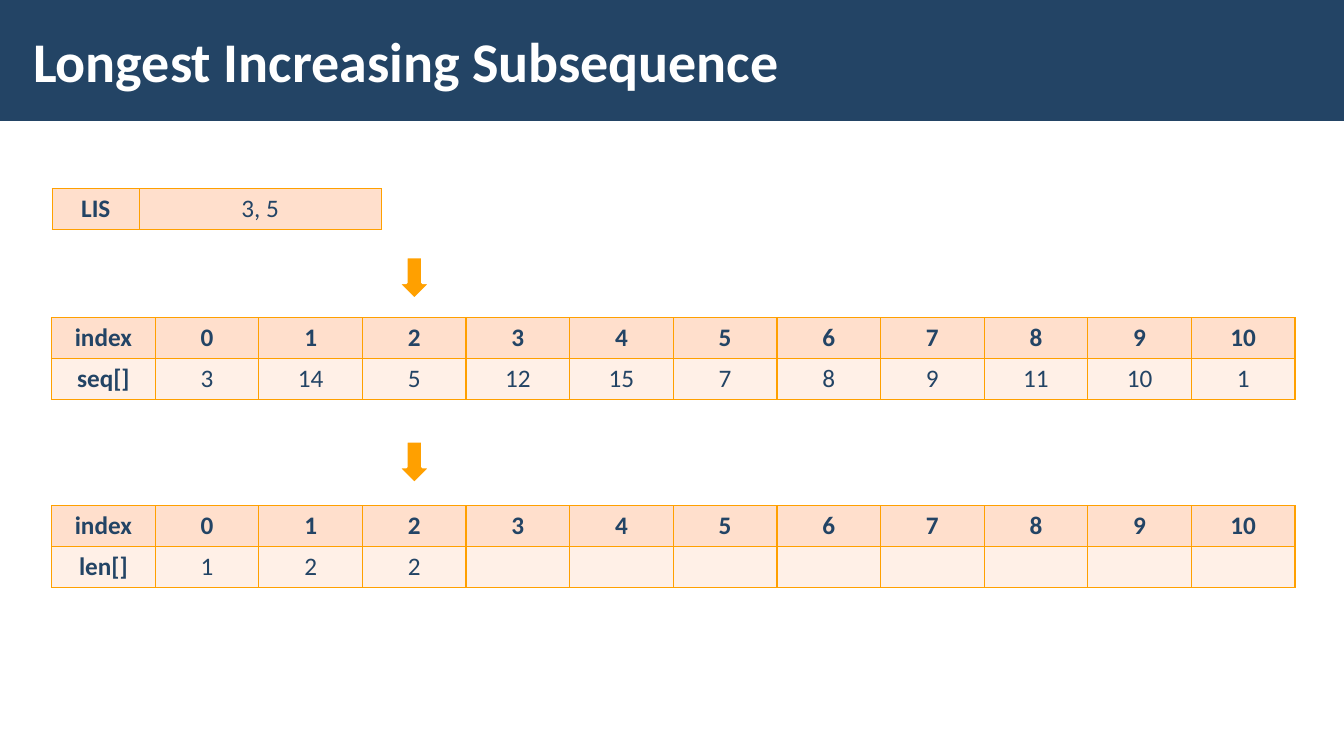
from dataclasses import dataclass

from lxml import etree
from pptx import Presentation
from pptx.dml.color import RGBColor
from pptx.enum import shapes, text
from pptx.oxml import ns
from pptx.slide import Slide
from pptx.table import _Cell
from pptx.util import Pt

FONT = "Calibri"
NAVY, ORANGE, WHITE = "234465", "FFA000", "FFFFFF"
HEADER_FILL, VALUE_FILL = "FFDFCC", "FFF0E7"
ROW_HEIGHT = 29.2
INDEX_COLUMNS = 11
ARRAY_LEFT, ARRAY_COLUMN = 36.85, 74.04
STEP = 2  # index being processed


@dataclass
class Grid:
    left: float
    top: float
    columns: list[float]
    rows: list[list[str]]


def colour(code: str) -> RGBColor:
    return RGBColor.from_string(code)


def style_font(font, size: float, code: str, bold: bool) -> None:
    font.name, font.size, font.bold = FONT, Pt(size), bold
    font.color.rgb = colour(code)


def add_borders(cell: _Cell) -> None:
    properties = cell._tc.get_or_add_tcPr()
    for side in ("lnL", "lnR", "lnT", "lnB"):
        line = etree.SubElement(properties, ns.qn(f"a:{side}"), w=str(Pt(1)))
        fill = etree.SubElement(line, ns.qn("a:solidFill"))
        etree.SubElement(fill, ns.qn("a:srgbClr"), val=ORANGE)


def draw_grid(page: Slide, grid: Grid) -> None:
    frame = page.shapes.add_table(
        len(grid.rows), len(grid.columns), Pt(grid.left), Pt(grid.top),
        Pt(sum(grid.columns)), Pt(ROW_HEIGHT * len(grid.rows)))
    table = frame.table
    for column, width in zip(table.columns, grid.columns):
        column.width = Pt(width)
    for r, values in enumerate(grid.rows):
        table.rows[r].height = Pt(ROW_HEIGHT)
        for c, value in enumerate(values):
            cell = table.cell(r, c)
            add_borders(cell)
            cell.fill.solid()
            cell.fill.fore_color.rgb = colour(VALUE_FILL if r else HEADER_FILL)
            para = cell.text_frame.paragraphs[0]
            para.text = value
            para.alignment = text.PP_ALIGN.CENTER
            is_header = c == 0 or (r == 0 and len(grid.rows) > 1)
            for span in para.runs:
                style_font(span.font, 18, NAVY, is_header)


def draw_shape(page: Slide, kind: shapes.MSO_SHAPE, left: float, top: float,
               width: float, height: float, fill: str):
    shape = page.shapes.add_shape(kind, Pt(left), Pt(top), Pt(width), Pt(height))
    shape.shadow.inherit = False
    shape.fill.solid()
    shape.fill.fore_color.rgb = colour(fill)
    shape.line.fill.background()
    return shape


def array_grid(top: float, name: str, values: list[int]) -> Grid:
    filled = [str(value) for value in values]
    blanks = [""] * (INDEX_COLUMNS - len(values))
    header = ["index"] + [str(i) for i in range(INDEX_COLUMNS)]
    return Grid(ARRAY_LEFT, top, [ARRAY_COLUMN] * (INDEX_COLUMNS + 1),
                [header, [name] + filled + blanks])


def main() -> None:
    deck = Presentation()
    deck.slide_width, deck.slide_height = Pt(960), Pt(540)
    page = deck.slides.add_slide(deck.slide_layouts[5])

    # Title over a full-width band
    band = draw_shape(page, shapes.MSO_SHAPE.RECTANGLE, 0, 0, 960, 86.4, NAVY)
    title = page.shapes.title
    title._element.addprevious(band._element)
    title.left, title.top, title.width, title.height = Pt(15), Pt(8), Pt(765), Pt(70)
    frame = title.text_frame
    frame.text = "Longest Increasing Subsequence"
    frame.vertical_anchor = text.MSO_ANCHOR.MIDDLE
    frame.margin_left = frame.margin_right = Pt(8.64)
    frame.margin_top = frame.margin_bottom = Pt(3)
    para = frame.paragraphs[0]
    para.alignment = text.PP_ALIGN.LEFT
    style_font(para.runs[0].font, 40, WHITE, True)

    # Arrows above the current index
    arrow_width = 23.6
    arrow_left = ARRAY_LEFT + ARRAY_COLUMN * (STEP + 1.5) - arrow_width / 2
    for top in (183.6, 315.2):
        arrow = draw_shape(page, shapes.MSO_SHAPE.DOWN_ARROW,
                           arrow_left, top, arrow_width, 30.2, ORANGE)
        arrow.line.color.rgb = colour(WHITE)
        arrow.line.width = Pt(2)

    # Sequence, lengths and the subsequence so far
    grids = [
        array_grid(226.9, "seq[]", [3, 14, 5, 12, 15, 7, 8, 9, 11, 10, 1]),
        array_grid(361.3, "len[]", [1, 2, 2]),
        Grid(37.4, 134.8, [62.1, 172.8], [["LIS", "3, 5"]]),
    ]
    for grid in grids:
        draw_grid(page, grid)

    deck.save("out.pptx")


if __name__ == "__main__":
    main()
